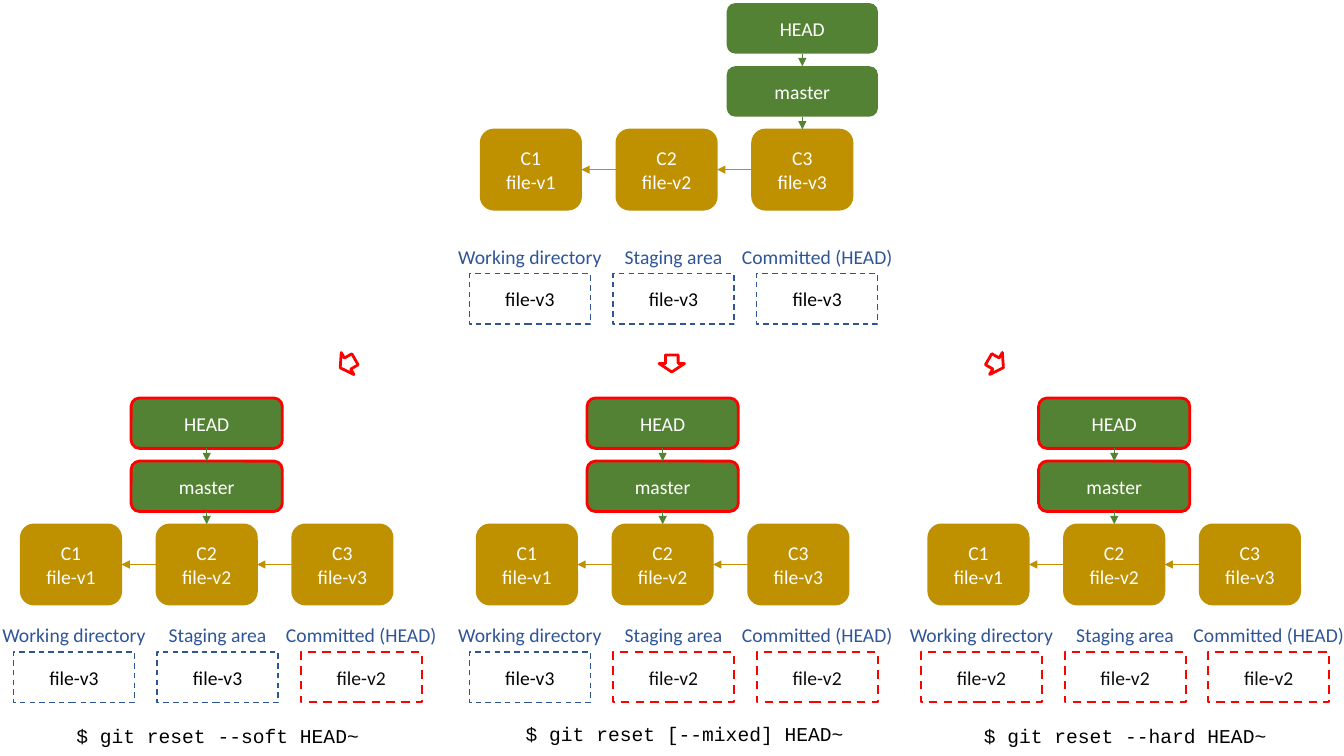
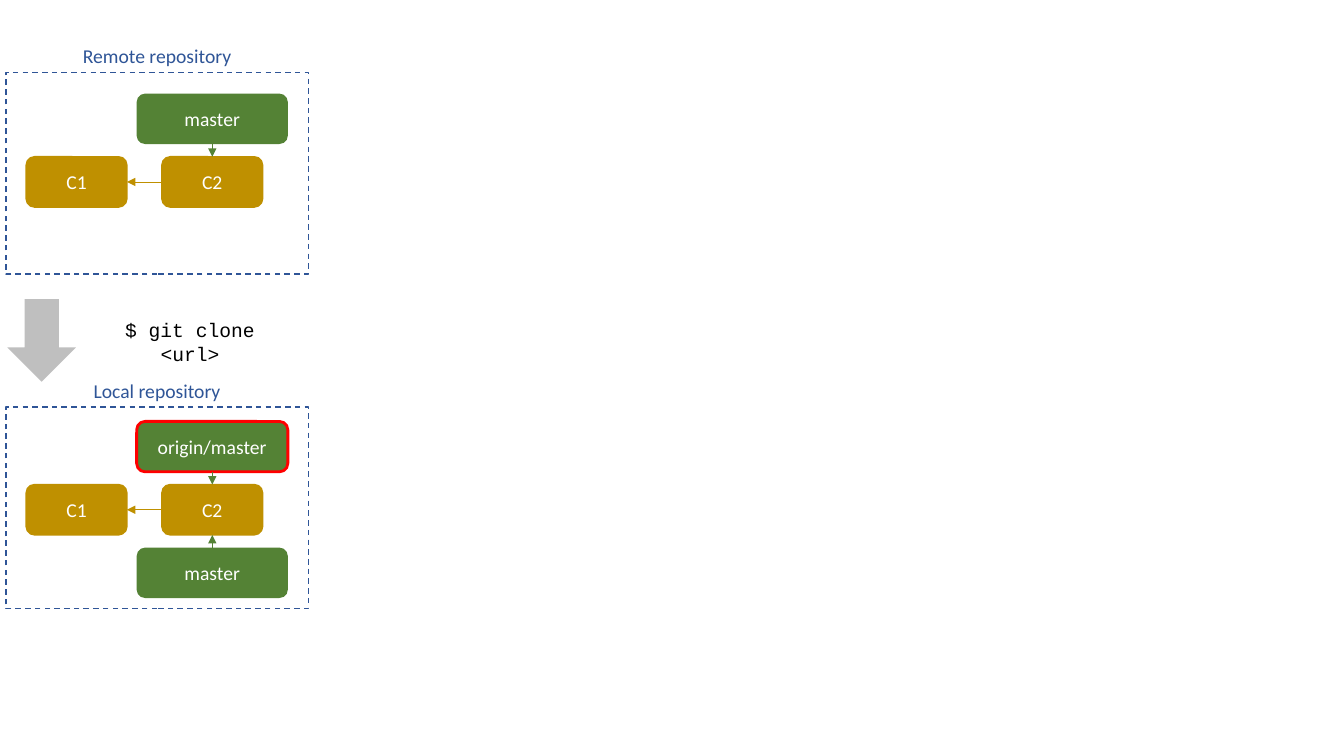
from dataclasses import dataclass
from itertools import pairwise

from lxml.etree import SubElement
from pptx import Presentation
from pptx.dml.color import RGBColor
from pptx.enum.dml import MSO_LINE
from pptx.enum.shapes import MSO_CONNECTOR, MSO_SHAPE
from pptx.enum.text import MSO_ANCHOR, MSO_AUTO_SIZE, PP_ALIGN
from pptx.oxml.ns import qn
from pptx.util import Cm, Pt


@dataclass(frozen=True)
class Theme:
    commit: str = "BF9000"
    branch: str = "548235"
    area: str = "2F5597"
    changed: str = "FF0000"
    changed_text: str = "0D0D0D"
    flow: str = "BFBFBF"
    light: str = "FFFFFF"
    dark: str = "000000"
    body_font: str = "Calibri"
    code_font: str = "Courier New"
    size: int = 14


THEME = Theme()

# Lengths in centimetres
ROW = 1.27
ROW_STEP = 1.59
COMMIT_WIDTH, COMMIT_STEP = 2.54, 3.42
BRANCH_WIDTH = 3.81
AREA_WIDTH, AREA_STEP = 3.05, 3.62
FRAME_WIDTH, FRAME_HEIGHT = 7.62, 5.08
LABEL_HEIGHT = 0.85
AREAS = {"Working directory": 4.17, "Staging area": 3, "Committed (HEAD)": 4.35}
COMMITS = ["C1\nfile-v1", "C2\nfile-v2", "C3\nfile-v3"]

# Connection sites of a rectangle
TOP, LEFT, BOTTOM, RIGHT = range(4)


# Basic parts
def write(shape, text, color, font=THEME.body_font):
    frame = shape.text_frame
    frame.text = text
    frame.vertical_anchor = MSO_ANCHOR.MIDDLE
    for paragraph in frame.paragraphs:
        paragraph.alignment = PP_ALIGN.CENTER
        paragraph.font.name = font
        paragraph.font.size = Pt(THEME.size)
        paragraph.font.color.rgb = RGBColor.from_string(color)


def add_box(parent, kind, left, top, width, height, fill=None, line=None, weight=1):
    box = parent.shapes.add_shape(kind, Cm(left), Cm(top), Cm(width), Cm(height))
    box.shadow.inherit = False
    if fill:
        box.fill.solid()
        box.fill.fore_color.rgb = RGBColor.from_string(fill)
    else:
        box.fill.background()
    if line:
        box.line.color.rgb = RGBColor.from_string(line)
        box.line.width = Pt(weight)
    else:
        box.line.fill.background()
    return box


def add_label(parent, text, center, top, width, color=THEME.area, font=THEME.body_font):
    label = parent.shapes.add_textbox(
        Cm(center - width / 2), Cm(top), Cm(width), Cm(LABEL_HEIGHT))
    write(label, text, color, font)
    label.text_frame.word_wrap = False
    label.text_frame.auto_size = MSO_AUTO_SIZE.SHAPE_TO_FIT_TEXT


def add_command(slide, text, center, top, width):
    add_label(slide, text, center, top, width, THEME.dark, THEME.code_font)


def add_pointer(parent, start, start_site, end, end_site, color):
    pointer = parent.shapes.add_connector(MSO_CONNECTOR.STRAIGHT, 0, 0, 0, 0)
    pointer.begin_connect(start, start_site)
    pointer.end_connect(end, end_site)
    pointer.line.color.rgb = RGBColor.from_string(color)
    pointer.line.width = Pt(0.5)
    SubElement(pointer.line._get_or_add_ln(), qn("a:tailEnd"), type="triangle")
    SubElement(pointer._element.spPr, qn("a:effectLst"))


def add_block_arrow(slide, center, middle, length, breadth, rotation, **style):
    arrow = add_box(slide, MSO_SHAPE.RIGHT_ARROW, center - length / 2,
                    middle - breadth / 2, length, breadth, **style)
    arrow.rotation = rotation


# Commits in a row, with branches stacked above and below one of them
def add_history(slide, left, top, commits, tip, above, below=(), changed=(),
                commit_height=ROW):
    group = slide.shapes.add_group_shape()
    commit_top = top + len(above) * ROW_STEP
    below_top = commit_top + commit_height + ROW_STEP - ROW
    branch_left = left + tip * COMMIT_STEP + (COMMIT_WIDTH - BRANCH_WIDTH) / 2

    def add_branch(name, branch_top):
        line = THEME.changed if name in changed else None
        branch = add_box(group, MSO_SHAPE.ROUNDED_RECTANGLE, branch_left, branch_top,
                         BRANCH_WIDTH, ROW, THEME.branch, line, 2)
        write(branch, name, THEME.light)
        return branch

    boxes = []
    for index, text in enumerate(commits):
        box = add_box(group, MSO_SHAPE.ROUNDED_RECTANGLE, left + index * COMMIT_STEP,
                      commit_top, COMMIT_WIDTH, commit_height, THEME.commit, THEME.commit)
        write(box, text, THEME.light)
        boxes.append(box)
    for parent, child in pairwise(boxes):
        add_pointer(group, child, LEFT, parent, RIGHT, THEME.commit)

    uppers = [add_branch(name, top + row * ROW_STEP) for row, name in enumerate(above)]
    for upper, lower in pairwise([*uppers, boxes[tip]]):
        add_pointer(group, upper, BOTTOM, lower, TOP, THEME.branch)
    lowers = [add_branch(name, below_top + row * ROW_STEP)
              for row, name in enumerate(below)]
    for upper, lower in pairwise([boxes[tip], *lowers]):
        add_pointer(group, lower, TOP, upper, BOTTOM, THEME.branch)


# Three labelled areas holding file versions
def add_areas(slide, left, top, versions, changed_from=len(AREAS)):
    group = slide.shapes.add_group_shape()
    for index, ((name, label_width), version) in enumerate(zip(AREAS.items(), versions)):
        area_left = left + index * AREA_STEP
        changed = index >= changed_from
        area = add_box(group, MSO_SHAPE.RECTANGLE, area_left, top + LABEL_HEIGHT,
                       AREA_WIDTH, ROW, None,
                       THEME.changed if changed else THEME.area, 1.5 if changed else 1)
        area.line.dash_style = MSO_LINE.DASH
        write(area, version, THEME.changed_text if changed else THEME.dark)
        add_label(group, name, area_left + AREA_WIDTH / 2, top, label_width)


# State of the repository after one kind of reset
def add_reset(slide, left, option, changed_from, command_center, command_top, command_width):
    add_history(slide, left + 0.18, 10.03, COMMITS, 1, ["HEAD", "master"],
                changed=["HEAD", "master"], commit_height=2.03)
    versions = ["file-v3" if index < changed_from else "file-v2"
                for index in range(len(AREAS))]
    add_areas(slide, left, 15.58, versions, changed_from)
    add_command(slide, f"$ git reset {option} HEAD~", left + command_center,
                command_top, command_width)


def build_reset_slide(slide):
    # Starting state
    add_history(slide, 12.11, 0.08, COMMITS, 2, ["HEAD", "master"], commit_height=2.03)
    add_areas(slide, 11.83, 6.05, ["file-v3"] * 3)
    # Arrows to the three outcomes
    for center, rotation in ((8.76, 150), (16.93, 90), (25.1, 30)):
        add_block_arrow(slide, center, 9.16, 0.43, 0.64, rotation,
                        line=THEME.changed, weight=2)
    # Outcomes
    add_reset(slide, 0.34, "--soft", 2, 5.15, 18.11, 7.67)
    add_reset(slide, 11.83, "[--mixed]", 1, 5.43, 18.06, 8.56)
    add_reset(slide, 23.21, "--hard", 0, 5.15, 18.11, 7.67)


# Titled dashed frame around a history
def add_repository(slide, left, top, title, title_width, inset, above, below=(), changed=()):
    add_history(slide, left + 0.51, top + inset, ["C1", "C2"], 1, above, below, changed)
    frame = add_box(slide, MSO_SHAPE.RECTANGLE, left, top, FRAME_WIDTH, FRAME_HEIGHT,
                    line=THEME.area)
    frame.line.dash_style = MSO_LINE.DASH
    add_label(slide, title, left + FRAME_WIDTH / 2, top - LABEL_HEIGHT, title_width)


def build_clone_slide(slide):
    add_repository(slide, 0.15, 1.83, "Remote repository", 4.29, 0.53, ["master"])
    add_block_arrow(slide, 1.05, 8.58, 2.08, 1.73, 90, fill=THEME.flow)
    add_command(slide, "$ git clone <url>", 4.79, 8.18, 5.41)
    add_repository(slide, 0.15, 10.26, "Local repository", 3.73, 0.36,
                   ["origin/master"], ["master"], ["origin/master"])


deck = Presentation()
deck.slide_width, deck.slide_height = Cm(33.87), Cm(19.05)
blank_layout = deck.slide_layouts.get_by_name("Blank")
for build in (build_reset_slide, build_clone_slide):
    build(deck.slides.add_slide(blank_layout))
deck.save("out.pptx")
